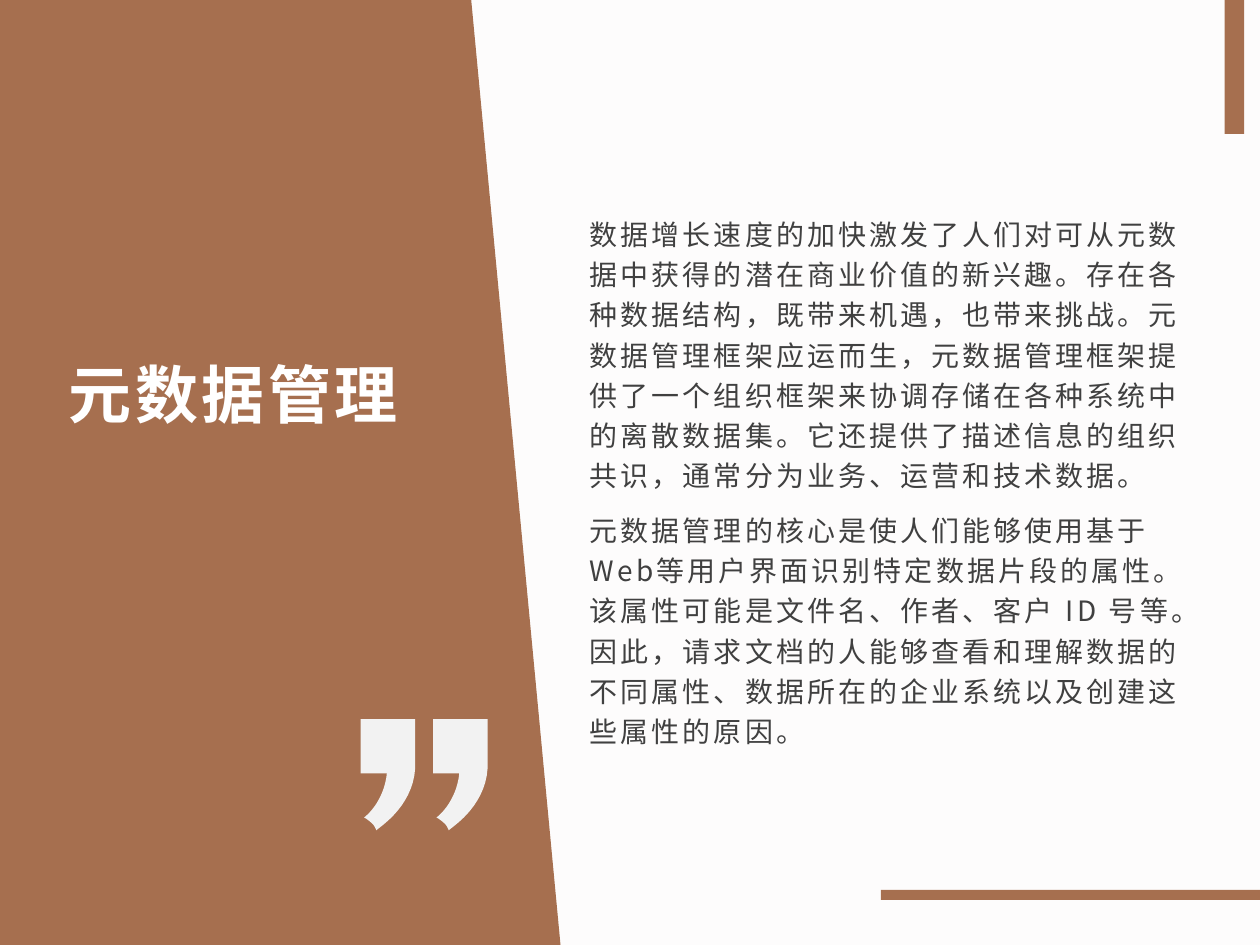
from lxml import etree
from pptx import Presentation
from pptx import util as u
from pptx.dml.color import RGBColor
from pptx.enum import shapes, text
from pptx.oxml import ns

BROWN = RGBColor(0xA6, 0x6F, 0x4F)
PAPER = RGBColor(0xFD, 0xFC, 0xFC)
WHITE = RGBColor(0xFF, 0xFF, 0xFF)
PALE = RGBColor(0xF2, 0xF2, 0xF2)
INK = RGBColor(0x40, 0x40, 0x40)
FONT = "Noto Sans CJK SC"

WIDTH, HEIGHT = 25.4, 19.05
TITLE = "元数据管理"
BODY = (
    "数据增长速度的加快激发了人们对可从元数据中获得的潜在商业价值的新兴趣。"
    "存在各种数据结构，既带来机遇，也带来挑战。元数据管理框架应运而生，"
    "元数据管理框架提供了一个组织框架来协调存储在各种系统中的离散数据集。"
    "它还提供了描述信息的组织共识，通常分为业务、运营和技术数据。",
    "元数据管理的核心是使人们能够使用基于Web等用户界面识别特定数据片段的属性。"
    "该属性可能是文件名、作者、客户 ID 号等。因此，请求文档的人能够查看和理解"
    "数据的不同属性、数据所在的企业系统以及创建这些属性的原因。",
)


def paint(shape, colour):
    shape.shadow.inherit = False
    shape.fill.solid()
    shape.fill.fore_color.rgb = colour
    shape.line.fill.background()


def add_outline(parent, left, top, points, colour):
    """Fill a closed polygon whose points are in cm from (left, top)."""
    corners = [(u.Cm(left + x), u.Cm(top + y)) for x, y in points]
    builder = parent.build_freeform(*corners[0], scale=1.0)
    builder.add_line_segments(corners[1:], close=True)
    paint(builder.convert_to_shape(), colour)


def curve(start, control1, control2, end, steps=16):
    """Points along a cubic Bezier curve, without its start."""
    return [
        tuple(
            (1 - t) ** 3 * a + 3 * (1 - t) ** 2 * t * b + 3 * (1 - t) * t**2 * c + t**3 * d
            for a, b, c, d in zip(start, control1, control2, end)
        )
        for t in (step / steps for step in range(1, steps + 1))
    ]


def add_bar(slide, left, top, width, height):
    box = map(u.Cm, (left, top, width, height))
    paint(slide.shapes.add_shape(shapes.MSO_SHAPE.RECTANGLE, *box), BROWN)


def add_text(slide, box, lines, anchor, size, colour, tracking,
             bold=False, spacing=1.0, after=0):
    """Write one paragraph per line; tracking is letter spacing in points."""
    frame = slide.shapes.add_textbox(*map(u.Cm, box)).text_frame
    frame.word_wrap = True
    frame.vertical_anchor = anchor
    frame.margin_left = frame.margin_right = u.Cm(0.18)
    frame.margin_top = frame.margin_bottom = u.Cm(0.1)
    for index, line in enumerate(lines):
        paragraph = frame.add_paragraph() if index else frame.paragraphs[0]
        paragraph.line_spacing = spacing
        paragraph.space_after = u.Pt(after)
        run = paragraph.add_run()
        run.text = line
        run.font.size = u.Pt(size)
        run.font.bold = bold
        run.font.color.rgb = colour
        run.font.name = FONT
        # East Asian face and letter spacing exist only as run properties in XML
        properties = run.font._element
        properties.set("spc", str(round(tracking * 100)))
        etree.SubElement(properties, ns.qn("a:ea")).set("typeface", FONT)


def add_title_panel(slide, left, top, height):
    slant = [(0, 0), (9.5, 0), (11.3, height), (0, height)]
    add_outline(slide.shapes, left, top, slant, BROWN)
    add_text(slide, (left + 1.21, top + 4.4, 7.34, 4.39), [TITLE],
             text.MSO_ANCHOR.BOTTOM, 36, WHITE, 2, bold=True)


def add_closing_quote(slide, left, top):
    tip, nib, tail = (0.32, 2.24), (0.28, 2.16), (0.07, 1.98)
    inner, shoulder = (0.53, 1.09), (1.1, 0.99)
    mark = [
        tip, nib,
        *curve(nib, (0.25, 2.11), (0.19, 2.06), (0.12, 2.01)),
        tail,
        *curve(tail, (0.08, 1.98), (0.47, 1.68), inner),
        (0, 1.09), (0, 0), (1.1, 0), shoulder,
        *curve(shoulder, (1.05, 1.8), (0.32, 2.21), tip),
    ]
    pair = slide.shapes.add_group_shape().shapes
    for offset in (1.46, 0):
        add_outline(pair, left + offset, top, mark, PALE)


def add_body(slide, left, top, width, height):
    add_text(slide, (left, top, width, height), BODY,
             text.MSO_ANCHOR.MIDDLE, 16, INK, 1.8, spacing=1.2, after=8)


def main():
    deck = Presentation()
    deck.slide_width, deck.slide_height = u.Cm(WIDTH), u.Cm(HEIGHT)
    slide = deck.slides.add_slide(deck.slide_layouts[6])
    slide.background.fill.solid()
    slide.background.fill.fore_color.rgb = PAPER

    add_title_panel(slide, 0, 0, HEIGHT)
    add_body(slide, 11.71, 4.09, 12.78, 11.15)
    add_bar(slide, 17.76, 17.94, WIDTH - 17.76, 0.2)
    add_bar(slide, 24.69, 0, 0.39, 2.7)
    add_closing_quote(slide, 7.27, 14.5)
    deck.save("out.pptx")


if __name__ == "__main__":
    main()
